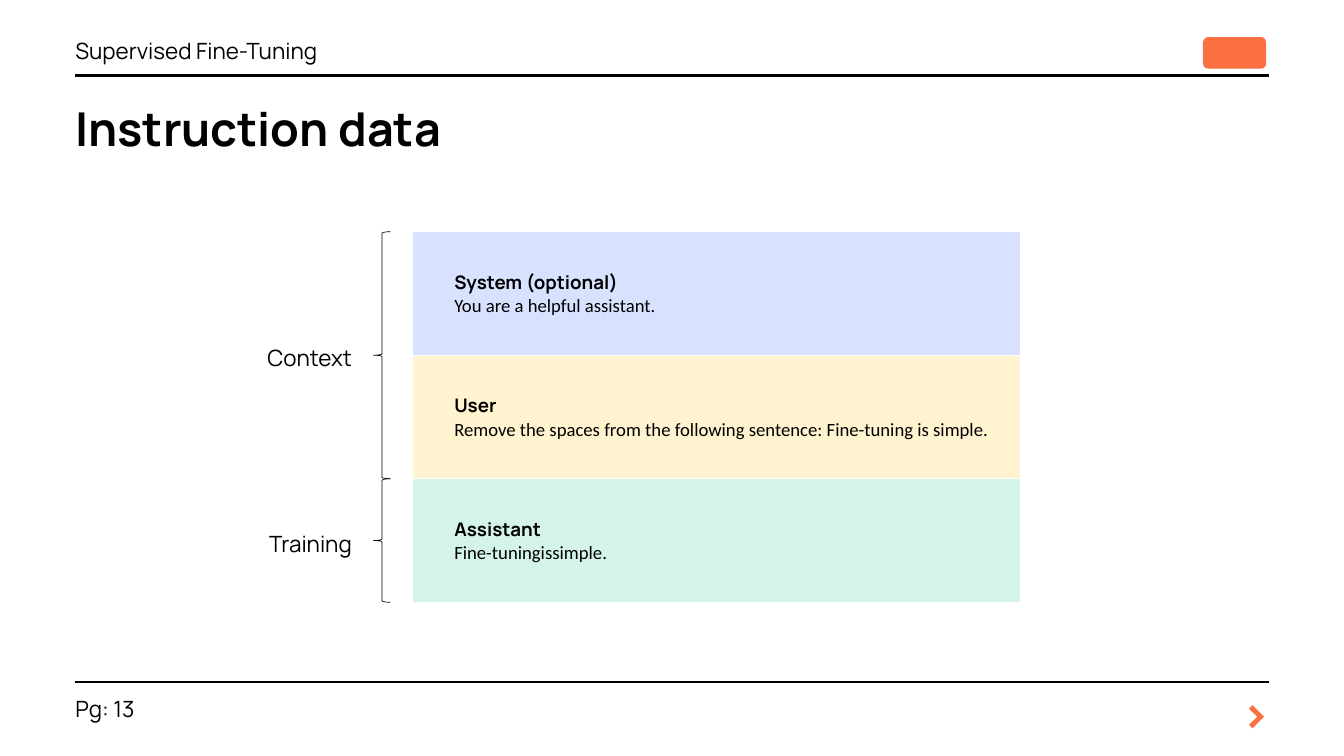
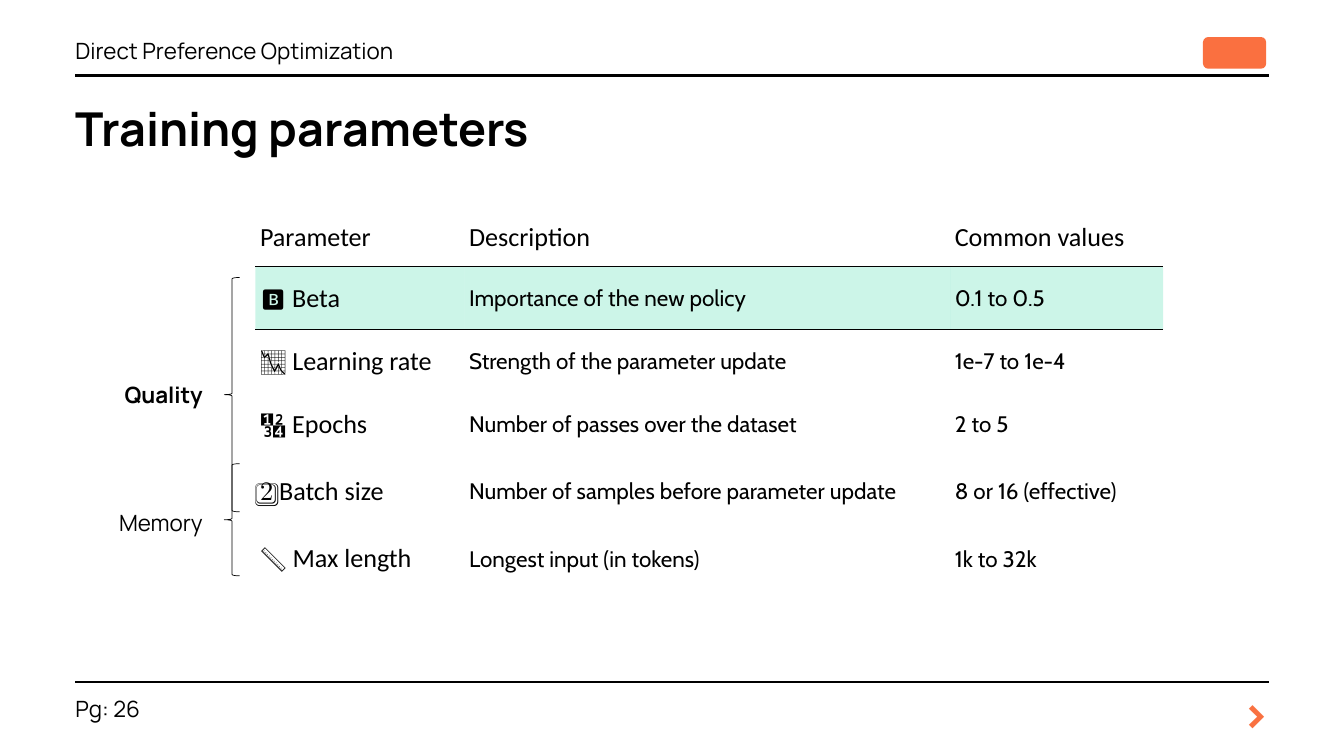
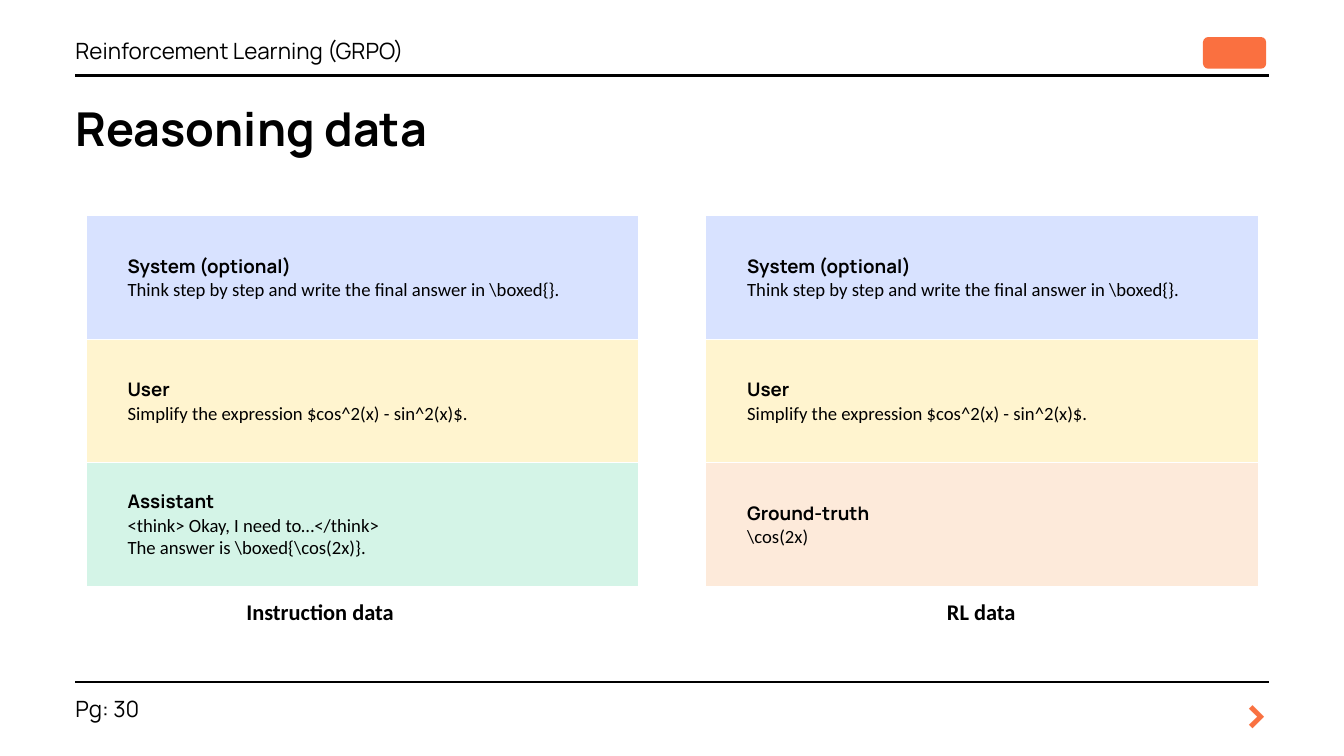
from lxml.etree import SubElement
from pptx import Presentation
from pptx.dml.color import RGBColor
from pptx.enum.shapes import MSO_CONNECTOR, MSO_SHAPE
from pptx.enum.text import MSO_ANCHOR, MSO_AUTO_SIZE, PP_ALIGN
from pptx.oxml.ns import qn
from pptx.util import Cm, Pt

COLORS = {
    "ink": "000000",
    "paper": "FFFFFF",
    "logo": "FA7040",
    "accent": "F97141",
    "system": "D8E2FF",
    "user": "FFF4CF",
    "assistant": "D4F4E7",
    "truth": "FDEADA",
    "highlight": "00CD8F",
}
HEAD_FONT, BODY_FONT, DETAIL_FONT = "Manrope", "Calibri", "Cabin"
NO_STYLE = "{2D5ABB26-0587-4C30-8999-92F81FD0307C}"
LEFT, RIGHT = 2.85, 47.95
MESSAGE_H = 4.67


def rgb(name):
    """Return the named colour."""
    return RGBColor.from_string(COLORS[name])


def format_run(r, font, size, bold=False, color="ink"):
    """Set the font of a run."""
    r.font.name = font
    r.font.size = Pt(size)
    r.font.bold = bold
    r.font.color.rgb = rgb(color)


def add_text(s, text, x, y, w, h, size=24, font=HEAD_FONT, bold=False,
             color="ink", align=PP_ALIGN.LEFT, spacing=33.6, inset=(0, 0)):
    """Add a one-paragraph text box."""
    tf = s.shapes.add_textbox(Cm(x), Cm(y), Cm(w), Cm(h)).text_frame
    tf.word_wrap = True
    tf.auto_size = MSO_AUTO_SIZE.SHAPE_TO_FIT_TEXT
    tf.margin_left = tf.margin_right = Cm(inset[0])
    tf.margin_top = tf.margin_bottom = Cm(inset[1])
    p = tf.paragraphs[0]
    p.text = text
    p.alignment = align
    if spacing:
        p.line_spacing = Pt(spacing)
    format_run(p.runs[0], font, size, bold, color)


def add_rule(s, y):
    """Add a full-width horizontal rule."""
    line = s.shapes.add_connector(
        MSO_CONNECTOR.STRAIGHT, Cm(LEFT), Cm(y), Cm(RIGHT), Cm(y))
    line.line.color.rgb = rgb("ink")
    line.line.width = Pt(3)
    SubElement(line._element.spPr, qn("a:effectLst"))


def add_frame(prs, section, title, page):
    """Add a slide with its header, title and footer."""
    s = prs.slides.add_slide(prs.slide_layouts[6])
    s.background.fill.solid()
    s.background.fill.fore_color.rgb = rgb("paper")
    add_rule(s, 2.85)
    add_rule(s, 25.78)
    logo = s.shapes.add_shape(
        MSO_SHAPE.ROUNDED_RECTANGLE, Cm(45.47), Cm(1.4), Cm(2.39), Cm(1.2))
    logo.shadow.inherit = False
    logo.fill.solid()
    logo.fill.fore_color.rgb = rgb("logo")
    logo.line.fill.background()
    add_text(s, ">", 46.89, 25.48, 1.04, 2.49, size=52, bold=True,
             color="accent", align=PP_ALIGN.CENTER, spacing=72.8)
    add_text(s, f"Pg: {page}", LEFT, 26.11, 7.92, 1.12)
    add_text(s, section, LEFT, 1.22, 18.5, 1.12)
    add_text(s, title, LEFT, 3.43, 32.92, 2.31, size=50, bold=True, spacing=70)
    return s


def add_brace(s, x, y, w, h, label, label_y, bold=False):
    """Add a left brace with its label beside it."""
    brace = s.shapes.add_shape(
        MSO_SHAPE.LEFT_BRACE, Cm(x), Cm(y), Cm(w), Cm(h))
    brace.shadow.inherit = False
    brace.fill.background()
    brace.line.color.rgb = rgb("ink")
    brace.line.width = Pt(0.75)
    add_text(s, label, x - 5.92, label_y, 5.1, 1.12, bold=bold,
             align=PP_ALIGN.RIGHT)


def add_grid(s, x, y, widths, heights):
    """Add an unstyled table with the given column and row sizes."""
    table = s.shapes.add_table(
        len(heights), len(widths), Cm(x), Cm(y),
        Cm(sum(widths)), Cm(sum(heights))).table
    table.first_row = table.horz_banding = False
    table._tbl.tblPr.find(qn("a:tableStyleId")).text = NO_STYLE
    for column, width in zip(table.columns, widths):
        column.width = Cm(width)
    for row, height in zip(table.rows, heights):
        row.height = Cm(height)
    return table


def set_cell(cell, text, margins, fill=None, borders="", border_color="ink"):
    """Set the text, margins, borders and fill of a cell."""
    cell.text_frame.text = text
    cell.vertical_anchor = MSO_ANCHOR.MIDDLE
    cell.margin_left = cell.margin_right = Cm(margins[0])
    cell.margin_top = cell.margin_bottom = Cm(margins[1])
    tcPr = cell._tc.get_or_add_tcPr()
    for side in borders:
        ln = SubElement(tcPr, qn(f"a:ln{side}"), w=str(Pt(1)))
        solid = SubElement(ln, qn("a:solidFill"))
        SubElement(solid, qn("a:srgbClr"), val=COLORS[border_color])
    if fill:
        cell.fill.solid()
        cell.fill.fore_color.rgb = rgb(fill)
    else:
        cell.fill.background()
    return cell.text_frame.paragraphs[0]


def add_messages(s, x, y, width, messages):
    """Add a stack of messages, each a role above its content."""
    table = add_grid(s, x, y, [width], [MESSAGE_H] * len(messages))
    for i, (role, content, fill) in enumerate(messages):
        p = set_cell(table.cell(i, 0), f"{role}\v{content}", (0.3, 0.13),
                     fill, "LRTB", "paper")
        p.level = 1
        pPr = p._p.get_or_add_pPr()
        pPr.set("marL", str(Cm(1.27)))
        pPr.set("indent", "0")
        head, *body = p.runs
        format_run(head, HEAD_FONT, 20, bold=True)
        for r in body:
            format_run(r, BODY_FONT, 20)


def add_parameters(s, x, y, widths, heights, rows, highlighted):
    """Add the parameter table with one tinted row."""
    table = add_grid(s, x, y, widths, heights)
    for i, row in enumerate(rows):
        for j, text in enumerate(row):
            cell = table.cell(i, j)
            fill = "highlight" if i == highlighted else None
            p = set_cell(cell, text, (0.18, 0), fill, {0: "B", 1: "T"}.get(i, ""))
            p.space_after = Pt(6)
            if i == 0 or j == 0:
                format_run(p.runs[0], BODY_FONT, 28)
            else:
                format_run(p.runs[0], DETAIL_FONT, 24)
            if fill:
                tint = cell._tc.tcPr.find(f"{qn('a:solidFill')}/{qn('a:srgbClr')}")
                SubElement(tint, qn("a:alpha"), val="20000")


def instruction_slide(prs):
    """Build the instruction data slide."""
    s = add_frame(prs, "Supervised Fine-Tuning", "Instruction data", 13)
    top = 8.76
    add_messages(s, 15.6, top, 22.96, [
        ("System (optional)", "You are a helpful assistant.", "system"),
        ("User", "Remove the spaces from the following sentence: "
                 "Fine-tuning is simple.", "user"),
        ("Assistant", "Fine-tuningissimple.", "assistant"),
    ])
    add_brace(s, 14.12, top, 0.64, 2 * MESSAGE_H, "Context", 12.85)
    add_brace(s, 14.12, top + 2 * MESSAGE_H, 0.64, MESSAGE_H, "Training", 19.86)


def parameters_slide(prs):
    """Build the training parameters slide."""
    s = add_frame(prs, "Direct Preference Optimization",
                  "Training parameters", 26)
    rows = [
        ("Parameter", "Description", "Common values"),
        ("🅱️ Beta", "Importance of the new policy", "0.1 to 0.5"),
        ("📉 Learning rate", "Strength of the parameter update",
         "1e-7 to 1e-4"),
        ("🔢 Epochs", "Number of passes over the dataset", "2 to 5"),
        ("2️⃣ Batch size", "Number of samples before parameter update",
         "8 or 16 (effective)"),
        ("📏 Max length", "Longest input (in tokens)", "1k to 32k"),
    ]
    add_parameters(s, 9.65, 7.92, [7.9, 18.36, 8.05],
                   [2.16, 2.39, 2.39, 2.39, 2.69, 2.39], rows, highlighted=1)
    add_brace(s, 8.48, 10.49, 0.58, 8.86, "Quality", 14.25, bold=True)
    add_brace(s, 8.48, 17.53, 0.58, 4.24, "Memory", 19.08)


def reasoning_slide(prs):
    """Build the reasoning data slide."""
    s = add_frame(prs, "Reinforcement Learning (GRPO)", "Reasoning data", 30)
    prompt = [
        ("System (optional)",
         "Think step by step and write the final answer in \\boxed{}.",
         "system"),
        ("User", "Simplify the expression $cos^2(x) - sin^2(x)$.", "user"),
    ]
    answer = ("Assistant", "<think> Okay, I need to…</think>\v"
              "The answer is \\boxed{\\cos(2x)}.", "assistant")
    truth = ("Ground-truth", "\\cos(2x)", "truth")
    for x, target, caption_x, caption in [
            (3.25, answer, 6.73, "Instruction data"),
            (26.67, truth, 31.72, "RL data")]:
        add_messages(s, x, 8.15, 20.88, prompt + [target])
        add_text(s, caption, caption_x, 22.5, 10.74, 1.27, font=BODY_FONT,
                 bold=True, align=PP_ALIGN.CENTER, spacing=None,
                 inset=(0.25, 0.13))


def main():
    """Build and save the presentation."""
    prs = Presentation()
    prs.slide_width, prs.slide_height = Cm(50.8), Cm(28.58)
    instruction_slide(prs)
    parameters_slide(prs)
    reasoning_slide(prs)
    prs.save("out.pptx")


if __name__ == "__main__":
    main()
